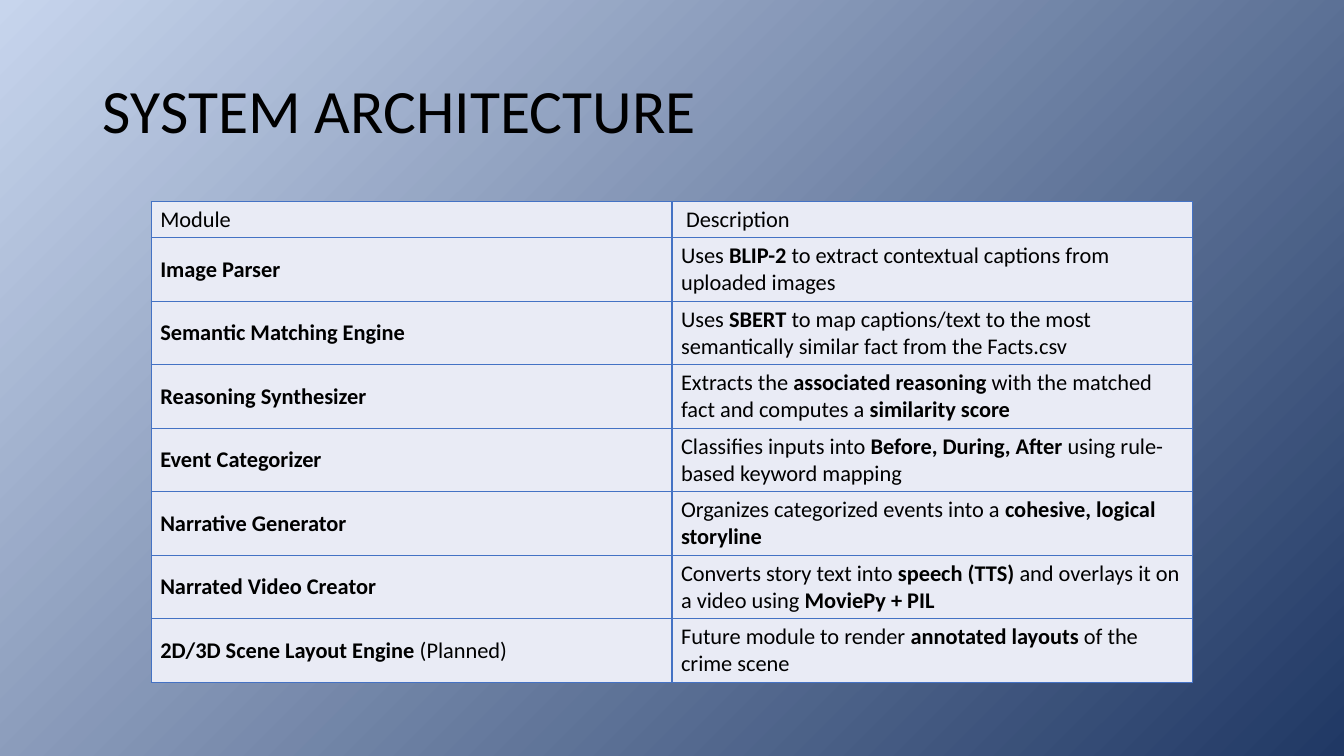
import pptx
import pptx.dml.color
import pptx.enum.text
import pptx.oxml
import pptx.oxml.ns
import pptx.util

SLIDE_WIDTH, SLIDE_HEIGHT = 13.33, 7.5
FONT = "Calibri"
TEXT, CELL, BORDER = "000000", "E9EBF5", "4472C4"
BACKGROUND = ("C7D5ED", "203864")
TITLE = "SYSTEM ARCHITECTURE"
MODULES = [
    ("Module", " Description"),
    ("**Image Parser**",
     "Uses **BLIP-2** to extract contextual captions from uploaded images"),
    ("**Semantic Matching Engine**",
     "Uses **SBERT** to map captions/text to the most semantically similar fact from the Facts.csv"),
    ("**Reasoning Synthesizer**",
     "Extracts the **associated reasoning** with the matched fact and computes a **similarity score**"),
    ("**Event Categorizer**",
     "Classifies inputs into **Before, During, After** using rule-based keyword mapping"),
    ("**Narrative Generator**",
     "Organizes categorized events into a **cohesive, logical storyline**"),
    ("**Narrated Video Creator**",
     "Converts story text into **speech (TTS)** and overlays it on a video using **MoviePy + PIL**"),
    ("**2D/3D Scene Layout Engine** (Planned)",
     "Future module to render **annotated layouts** of the crime scene"),
]
TABLE_LEFT, TABLE_TOP = 1.5, 2
COLUMN_WIDTH = (SLIDE_WIDTH - 2 * TABLE_LEFT) / 2
HEADER_HEIGHT, ROW_HEIGHT = 0.36, 0.63


def inches(*lengths):
    return [pptx.util.Inches(length) for length in lengths]


def color(value):
    return pptx.dml.color.RGBColor.from_string(value)


def write(text_frame, text, size, line_spacing=1.0):
    paragraph = text_frame.paragraphs[0]
    paragraph.alignment = pptx.enum.text.PP_ALIGN.LEFT
    paragraph.line_spacing = line_spacing
    for index, part in enumerate(text.split("**")):
        if part:
            run = paragraph.add_run()
            run.text = part
            run.font.name = FONT
            run.font.size = pptx.util.Pt(size)
            run.font.bold = index % 2 == 1
            run.font.color.rgb = color(TEXT)


def add_borders(cell):
    properties = cell._tc.get_or_add_tcPr()
    for position, side in enumerate(("lnL", "lnR", "lnT", "lnB")):
        line = pptx.oxml.parse_xml(
            f'<a:{side} {pptx.oxml.ns.nsdecls("a")} w="{pptx.util.Pt(1)}">'
            f'<a:solidFill><a:srgbClr val="{BORDER}"/></a:solidFill></a:{side}>')
        properties.insert(position, line)


def add_title(slide):
    title = slide.shapes.title
    title.left, title.top, title.width, title.height = inches(0.92, 0.4, 11.5, 1.45)
    title.text_frame.vertical_anchor = pptx.enum.text.MSO_ANCHOR.MIDDLE
    write(title.text_frame, TITLE, size=44, line_spacing=0.9)


def add_module_table(slide):
    heights = [HEADER_HEIGHT] + [ROW_HEIGHT] * (len(MODULES) - 1)
    table = slide.shapes.add_table(
        len(MODULES), 2,
        *inches(TABLE_LEFT, TABLE_TOP, 2 * COLUMN_WIDTH, sum(heights))).table
    table.first_row = table.horz_banding = False
    for column in table.columns:
        column.width = pptx.util.Inches(COLUMN_WIDTH)
    for row, height, texts in zip(table.rows, heights, MODULES):
        row.height = pptx.util.Inches(height)
        for cell, text in zip(row.cells, texts):
            cell.margin_left, cell.margin_right = inches(0.09, 0.09)
            cell.margin_top, cell.margin_bottom = inches(0.04, 0.04)
            cell.vertical_anchor = pptx.enum.text.MSO_ANCHOR.MIDDLE
            cell.fill.solid()
            cell.fill.fore_color.rgb = color(CELL)
            add_borders(cell)
            write(cell.text_frame, text, size=16)


def main():
    presentation = pptx.Presentation()
    presentation.slide_width, presentation.slide_height = inches(SLIDE_WIDTH, SLIDE_HEIGHT)
    slide = presentation.slides.add_slide(presentation.slide_layouts[5])
    fill = slide.background.fill
    fill.gradient()
    fill.gradient_angle = 315
    for stop, value in zip(fill.gradient_stops, BACKGROUND):
        stop.color.rgb = color(value)
    add_title(slide)
    add_module_table(slide)
    presentation.save("out.pptx")


if __name__ == "__main__":
    main()
